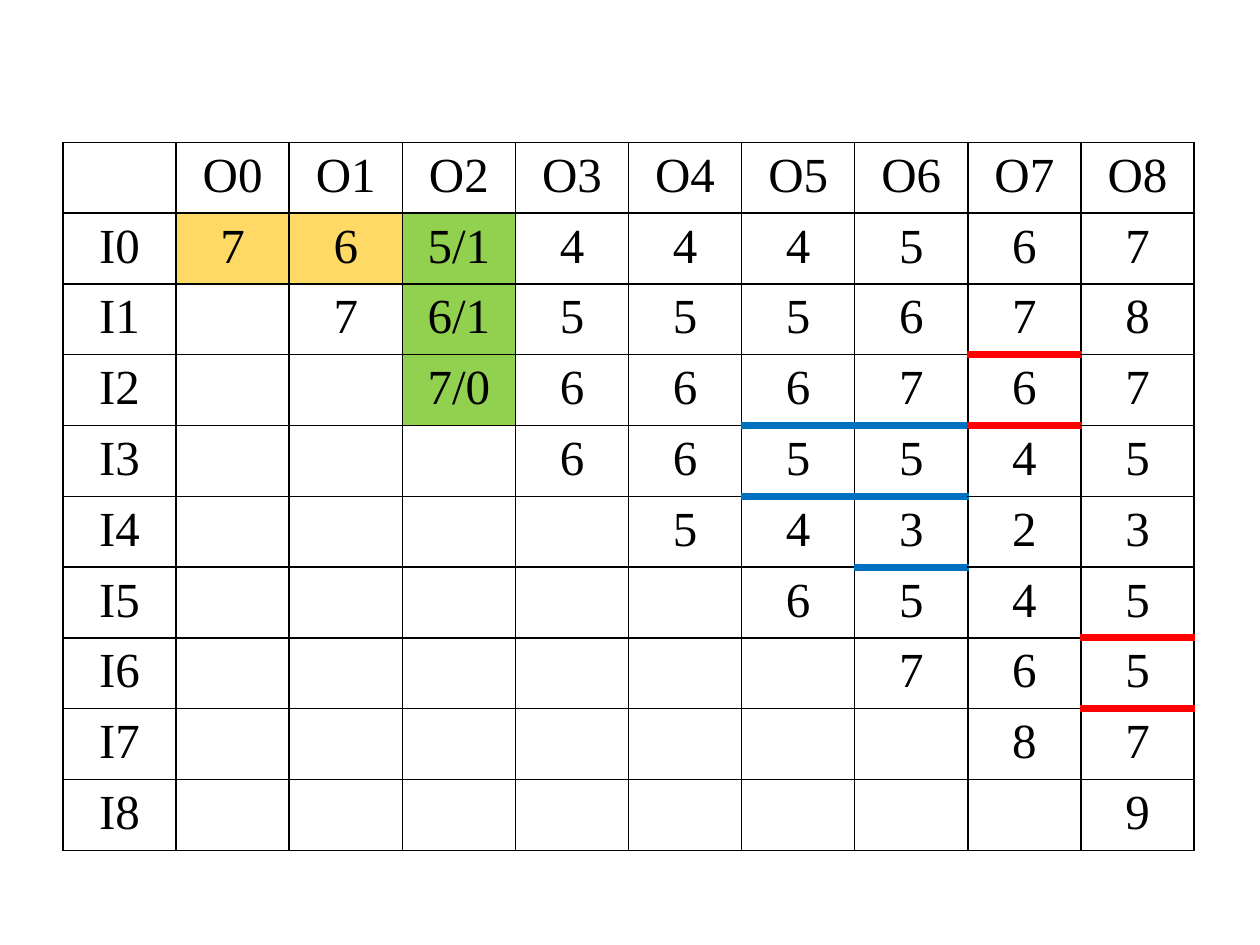
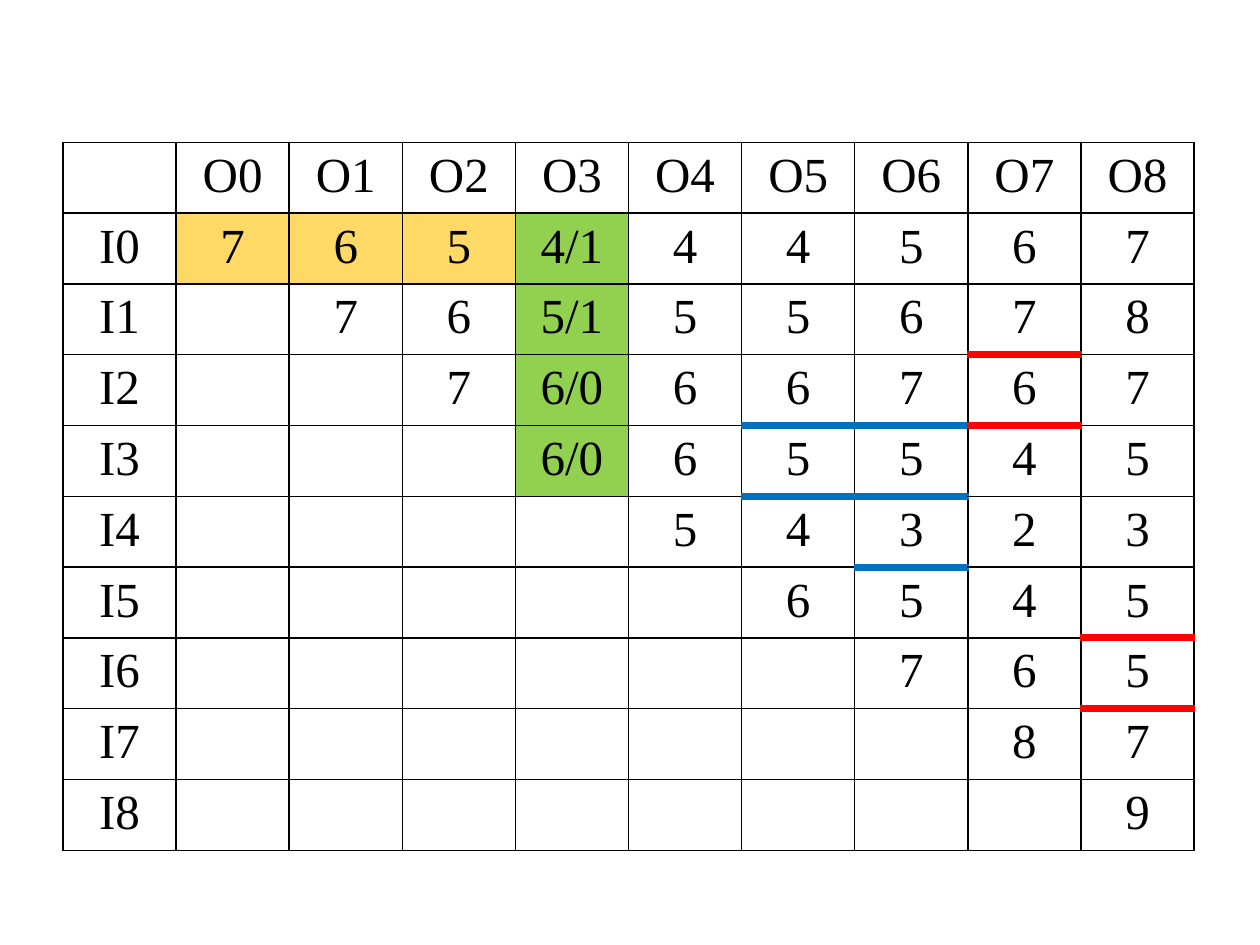
from lxml.etree import SubElement
from pptx import Presentation
from pptx.dml.color import RGBColor
from pptx.enum.text import PP_ALIGN
from pptx.oxml.ns import qn
from pptx.util import Inches, Pt

COLORS = {
    "ink": "000000",
    "done": "FFD966",
    "active": "92D050",
    "red": "FF0000",
    "blue": "0070C0",
}
FONT = "Times New Roman"

# Upper triangle of values: row I(n) starts at column O(n)
TRIANGLE = [
    "765444567",
    "76555678",
    "7666767",
    "665545",
    "54323",
    "6545",
    "765",
    "87",
    "9",
]
SIZE = len(TRIANGLE)

# Thick line under each (input, output) cell
UNDERLINES = {
    (1, 7): "red", (2, 7): "red",
    (2, 5): "blue", (2, 6): "blue",
    (3, 5): "blue", (3, 6): "blue",
    (4, 6): "blue",
    (5, 8): "red", (6, 8): "red",
}


def write_text(frame, text, size=28, font=FONT, color="ink", align=PP_ALIGN.CENTER):
    para = frame.paragraphs[0]
    para.alignment = align
    span = para.add_run()
    span.text = text
    span.font.size = Pt(size)
    span.font.name = font
    span.font.color.rgb = RGBColor.from_string(COLORS[color])


class MatrixDeck:
    def __init__(self):
        self.deck = Presentation()
        self.deck.slide_width = Inches(10)
        self.deck.slide_height = Inches(7.5)
        self.page = None

    def add_page(self):
        self.page = self.deck.slides.add_slide(self.deck.slide_layouts[6])

    def border(self, cell, side, color="ink", width=1):
        line = SubElement(cell._tc.get_or_add_tcPr(), qn(f"a:ln{side}"), w=str(Pt(width)))
        fill = SubElement(line, qn("a:solidFill"))
        SubElement(fill, qn("a:srgbClr"), val=COLORS[color])

    def cell(self, cell, text, fill, above, below):
        if text:
            write_text(cell.text_frame, text)
        # Borders come before the fill in the cell properties
        self.border(cell, "L")
        self.border(cell, "R")
        for side, accent in (("T", above), ("B", below)):
            if accent:
                self.border(cell, side, accent, 4.5)
            else:
                self.border(cell, side)
        if fill:
            cell.fill.solid()
            cell.fill.fore_color.rgb = RGBColor.from_string(COLORS[fill])
        else:
            cell.fill.background()

    def matrix(self, active, bits):
        """Draw the matrix; column `active` also shows its selection bits."""
        count = SIZE + 1
        table = self.page.shapes.add_table(
            count, count, Inches(0.5), Inches(1.13), Inches(8.98), Inches(5.62)
        ).table
        table.first_row = table.horz_banding = False
        for column in table.columns:
            column.width = Inches(8.98) // count
        for row in table.rows:
            row.height = Inches(5.62) // count

        # Row and column -1 hold the headings
        for i in range(-1, SIZE):
            for o in range(-1, SIZE):
                text, fill = "", None
                if i < 0 <= o:
                    text = f"O{o}"
                elif o < 0 <= i:
                    text = f"I{i}"
                elif 0 <= i <= o:
                    text = TRIANGLE[i][o - i]
                    if o == active:
                        text, fill = f"{text}/{bits[i]}", "active"
                    elif i == 0 and o < active:
                        fill = "done"
                self.cell(table.cell(i + 1, o + 1), text, fill,
                          UNDERLINES.get((i - 1, o)), UNDERLINES.get((i, o)))


def main():
    builder = MatrixDeck()
    # One page per step: active output column and its bits
    for active, bits in ((2, "110"), (3, "1100")):
        builder.add_page()
        builder.matrix(active, bits)
    builder.deck.save("out.pptx")


if __name__ == "__main__":
    main()
